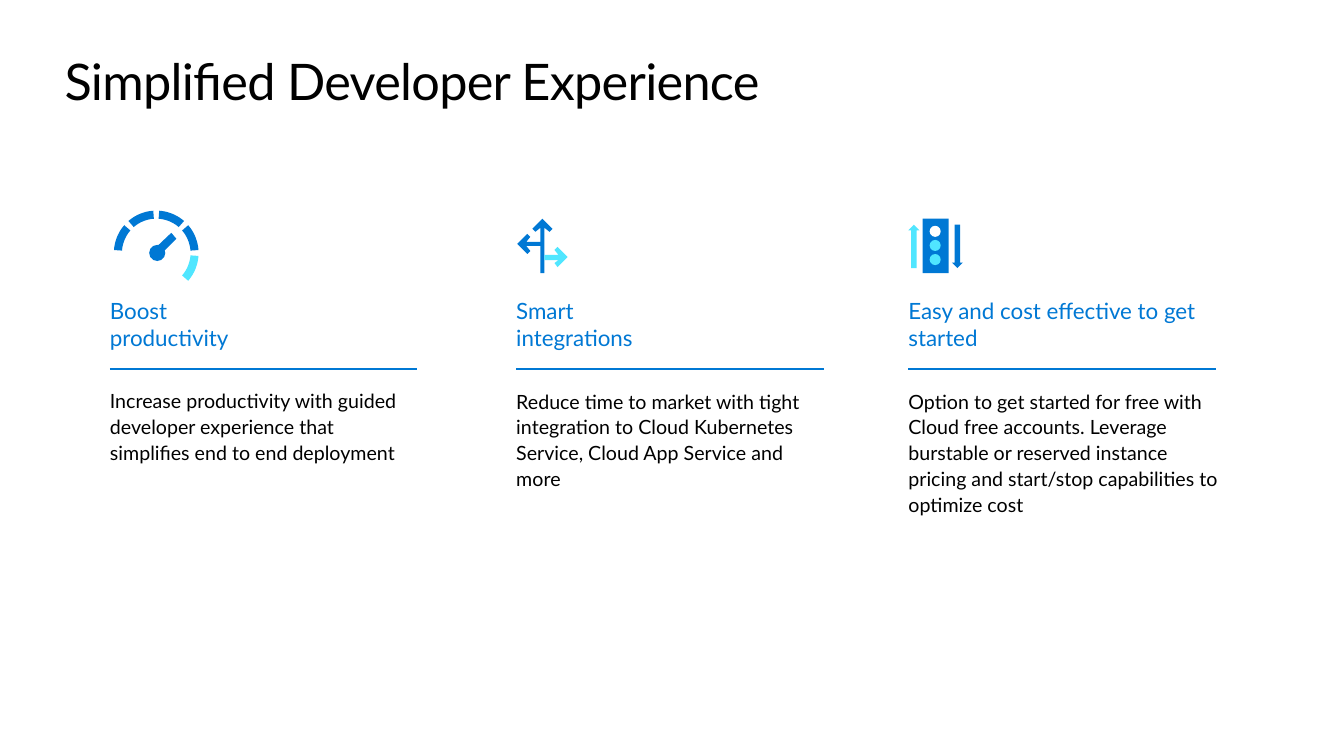
import math

import lxml.etree
import pptx
import pptx.dml.color
import pptx.enum.shapes
import pptx.enum.text
import pptx.oxml.ns
import pptx.util

Inches = pptx.util.Inches
SHAPE = pptx.enum.shapes.MSO_SHAPE
BLUE = pptx.dml.color.RGBColor(0x00, 0x78, 0xD4)
CYAN = pptx.dml.color.RGBColor(0x50, 0xE6, 0xFF)
BLACK = pptx.dml.color.RGBColor(0x00, 0x00, 0x00)
WHITE = pptx.dml.color.RGBColor(0xFF, 0xFF, 0xFF)


def write_text(box, text, size, color, line_spacing=1.0, space_after=0, tracking=None):
    """Fill a box with text, one paragraph for each line."""
    frame = box.text_frame
    frame.word_wrap = True
    frame.auto_size = pptx.enum.text.MSO_AUTO_SIZE.SHAPE_TO_FIT_TEXT
    frame.vertical_anchor = pptx.enum.text.MSO_ANCHOR.TOP
    frame.margin_left = frame.margin_top = frame.margin_right = frame.margin_bottom = 0
    frame.text = text
    for para in frame.paragraphs:
        para.alignment = pptx.enum.text.PP_ALIGN.LEFT
        para.line_spacing = line_spacing
        para.space_before = pptx.util.Pt(0)
        para.space_after = pptx.util.Pt(space_after)
        for span in para.runs:
            span.font.name = "Lato"
            span.font.size = pptx.util.Pt(size)
            span.font.color.rgb = color
            if tracking is not None:
                span.font._element.set("spc", str(tracking))


def paint(shape, color):
    """Give a shape a flat fill without outline or shadow."""
    shape.shadow.inherit = False
    shape.fill.solid()
    shape.fill.fore_color.rgb = color
    shape.line.fill.background()


deck = pptx.Presentation()
deck.slide_width = Inches(13.33)
deck.slide_height = Inches(7.5)
page = deck.slides.add_slide(deck.slide_layouts[5])

# Title
title = page.shapes.title
title.left, title.top = Inches(0.64), Inches(0.5)
title.width, title.height = Inches(12.05), Inches(0.61)
write_text(title, "Simplified Developer Experience", 36, BLACK, tracking=-50)

# Three columns: left, heading width, body width, body height, heading, body
columns = [
    (1.09, 3.1, 3.05, 0.76, "Boost\nproductivity",
     "Increase productivity with guided developer experience that "
     "simplifies end to end deployment"),
    (5.12, 3.1, 2.89, 1.02, "Smart\nintegrations",
     "Reduce time to market with tight integration to Cloud Kubernetes "
     "Service, Cloud App Service and more"),
    (9.01, 3.36, 3.13, 1.28, "Easy and cost effective to get started",
     "Option to get started for free with Cloud free accounts. Leverage "
     "burstable or reserved instance pricing and start/stop capabilities "
     "to optimize cost"),
]
for left, heading_width, body_width, body_height, heading, body in columns:
    rule = page.shapes.add_connector(
        pptx.enum.shapes.MSO_CONNECTOR.STRAIGHT,
        Inches(left), Inches(3.66), Inches(left + 3.05), Inches(3.66))
    rule.line.color.rgb = BLUE
    rule.line.width = pptx.util.Pt(1)
    lxml.etree.SubElement(rule._element.spPr, pptx.oxml.ns.qn("a:effectLst"))

    heading_box = page.shapes.add_textbox(
        Inches(left), Inches(2.95), Inches(heading_width), Inches(0.54))
    write_text(heading_box, heading, 16, BLUE)

    body_box = page.shapes.add_textbox(
        Inches(left), Inches(3.84), Inches(body_width), Inches(body_height))
    write_text(body_box, body, 14, BLACK, line_spacing=1.1, space_after=6)

# One group for each icon
gauge = page.shapes.add_group_shape()
branches = page.shapes.add_group_shape()
traffic_light = page.shapes.add_group_shape()

# Outlines: gauge needle, trunk with up and left arrows, right arrow
outlines = [
    (gauge, BLUE, [(1.57, 2.55), (1.51, 2.49), (1.7, 2.31), (1.75, 2.37)]),
    (branches, BLUE, [
        (5.4, 2.71), (5.4, 2.26), (5.45, 2.3), (5.48, 2.27), (5.38, 2.17),
        (5.28, 2.27), (5.31, 2.3), (5.36, 2.26), (5.36, 2.4), (5.22, 2.4),
        (5.26, 2.35), (5.23, 2.32), (5.13, 2.42), (5.23, 2.52), (5.26, 2.49),
        (5.22, 2.44), (5.36, 2.44), (5.36, 2.71)]),
    (branches, CYAN, [
        (5.4, 2.58), (5.54, 2.58), (5.5, 2.61), (5.53, 2.65), (5.63, 2.55),
        (5.53, 2.45), (5.5, 2.48), (5.54, 2.53), (5.4, 2.53)]),
]

# Gauge segments of 37 degrees, one every 45 degrees, the lowest in cyan
for number in range(5):
    start = -41 + 45 * number
    angles = [math.radians(start + 37 * step / 12) for step in range(13)]
    edge = [(0.42, angle) for angle in angles]
    edge += [(0.34, angle) for angle in reversed(angles)]
    points = [(1.55 + radius * math.cos(angle), 2.51 - radius * math.sin(angle))
              for radius, angle in edge]
    outlines.append((gauge, BLUE if number else CYAN, points))

for icon, color, points in outlines:
    corners = [(Inches(x), Inches(y)) for x, y in points]
    builder = icon.shapes.build_freeform(*corners[0])
    builder.add_line_segments(corners[1:], close=True)
    paint(builder.convert_to_shape(), color)

# Gauge hub, then the traffic light with its lamps and arrows
presets = [
    (gauge, SHAPE.OVAL, BLUE, 1.48, 2.43, 0.16, 0.16),
    (traffic_light, SHAPE.RECTANGLE, BLUE, 9.15, 2.17, 0.26, 0.54),
    (traffic_light, SHAPE.OVAL, WHITE, 9.22, 2.24, 0.11, 0.11),
    (traffic_light, SHAPE.OVAL, CYAN, 9.22, 2.38, 0.11, 0.11),
    (traffic_light, SHAPE.OVAL, CYAN, 9.22, 2.52, 0.11, 0.11),
    (traffic_light, SHAPE.UP_ARROW, CYAN, 9.01, 2.23, 0.11, 0.43),
    (traffic_light, SHAPE.DOWN_ARROW, BLUE, 9.44, 2.23, 0.11, 0.43),
]
for icon, kind, color, *place in presets:
    paint(icon.shapes.add_shape(kind, *[Inches(length) for length in place]), color)

deck.save("out.pptx")
